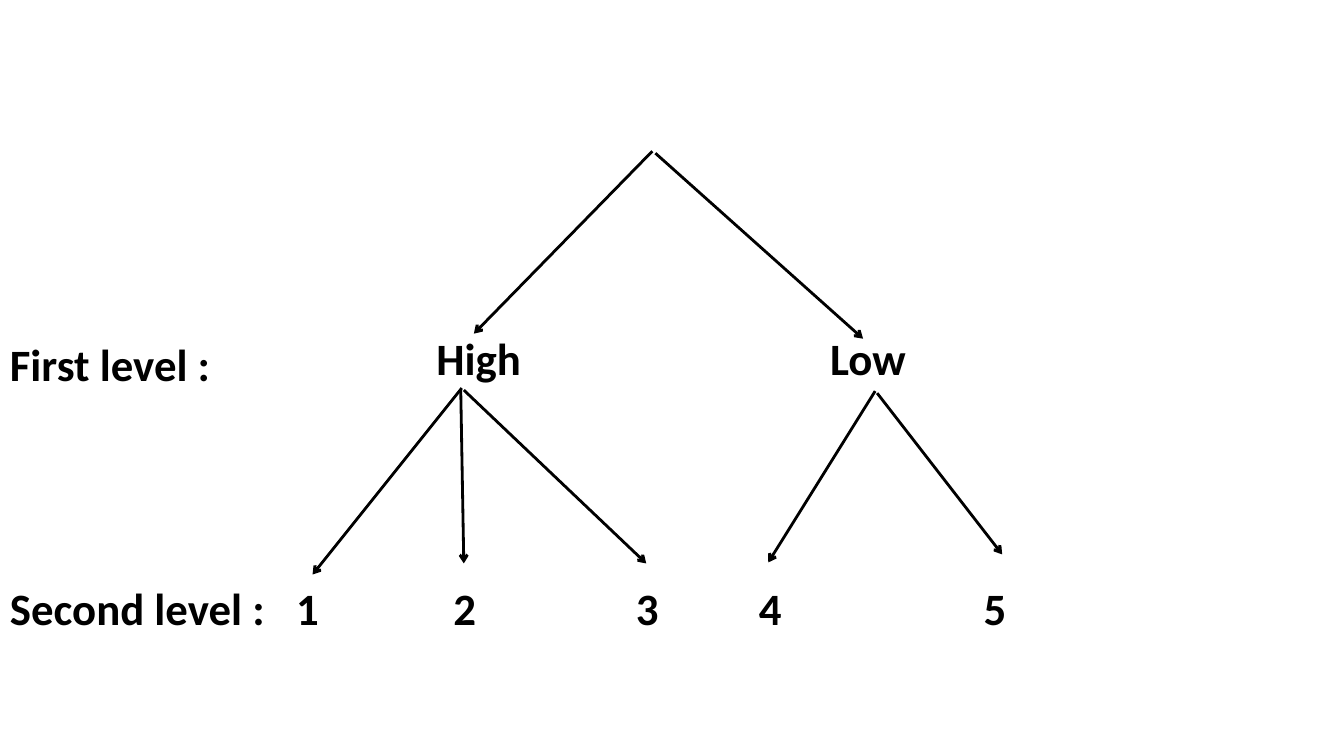
import pptx
import pptx.util
import pptx.dml.color
import pptx.enum.shapes
import pptx.enum.text
import pptx.oxml.ns
from lxml import etree
from pptx.util import Inches

INK = "000000"
ROWS = [
    # left, top, width, words, centres of the tabbed words
    (4.23, 3.23, 5.33, ["High", "Low"], [8.61]),
    (0, 3.29, 2.26, ["First level :"], []),
    (0, 5.71, 10.95, ["Second level :", "1", "2", "3", "4", "5"],
     [3.05, 4.61, 6.42, 7.64, 9.87]),
]
ARROWS = [
    # start, end
    ((6.47, 1.5), (4.7, 3.31)),
    ((6.5, 1.52), (8.56, 3.36)),
    ((4.58, 3.85), (3.1, 5.7)),
    ((4.57, 3.87), (4.6, 5.59)),
    ((4.6, 3.87), (6.41, 5.59)),
    ((8.68, 3.88), (7.62, 5.58)),
    ((8.7, 3.9), (9.94, 5.5)),
]
INSET = 0.1


def color(code):
    """Turn a hex string into a colour."""
    return pptx.dml.color.RGBColor.from_string(code)


def add_node(parent, tag, **attrs):
    """Append a drawing element with the given attributes."""
    node = etree.SubElement(parent, pptx.oxml.ns.qn(tag))
    for name, value in attrs.items():
        node.set(name, str(value))
    return node


def add_row(slide, left, top, width, words, stops):
    """Add a line of bold words, centred on tab stops after the first."""
    box = slide.shapes.add_textbox(
        Inches(left), Inches(top), Inches(width), Inches(0.64))
    frame = box.text_frame
    frame.word_wrap = True
    frame.auto_size = pptx.enum.text.MSO_AUTO_SIZE.SHAPE_TO_FIT_TEXT
    para = frame.paragraphs[0]
    run = para.add_run()
    run.text = "\t".join(words)
    run.font.name = "Calibri"
    run.font.size = pptx.util.Pt(32)
    run.font.bold = True
    run.font.color.rgb = color(INK)
    if stops:
        tabs = add_node(para._p.get_or_add_pPr(), "a:tabLst")
        for stop in stops:
            add_node(tabs, "a:tab", pos=Inches(stop - left - INSET), algn="ctr")


def add_arrow(slide, start, end):
    """Add a straight line with an open arrowhead at its end."""
    kind = pptx.enum.shapes.MSO_CONNECTOR.STRAIGHT
    points = [Inches(value) for value in start + end]
    arrow = slide.shapes.add_connector(kind, *points)
    arrow.line.color.rgb = color(INK)
    arrow.line.width = pptx.util.Pt(2)
    add_node(arrow.line._get_or_add_ln(), "a:tailEnd", type="arrow")
    add_node(arrow._element.spPr, "a:effectLst")


def main():
    """Build the two-level tree and save it."""
    deck = pptx.Presentation()
    deck.slide_width = Inches(13.33)
    deck.slide_height = Inches(7.5)
    slide = deck.slides.add_slide(deck.slide_layouts[6])
    for row in ROWS:
        add_row(slide, *row)
    for start, end in ARROWS:
        add_arrow(slide, start, end)
    deck.save("out.pptx")


main()
